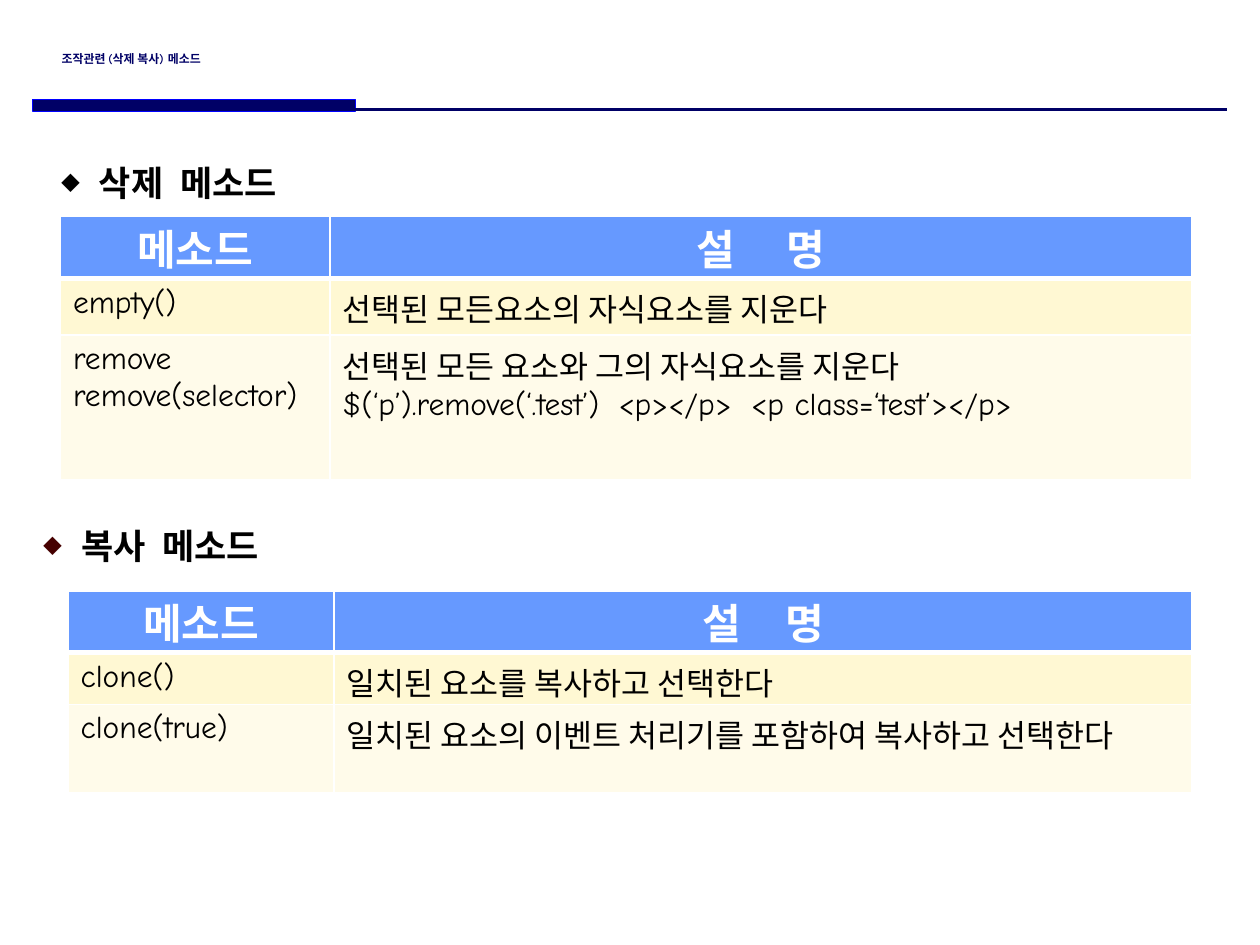
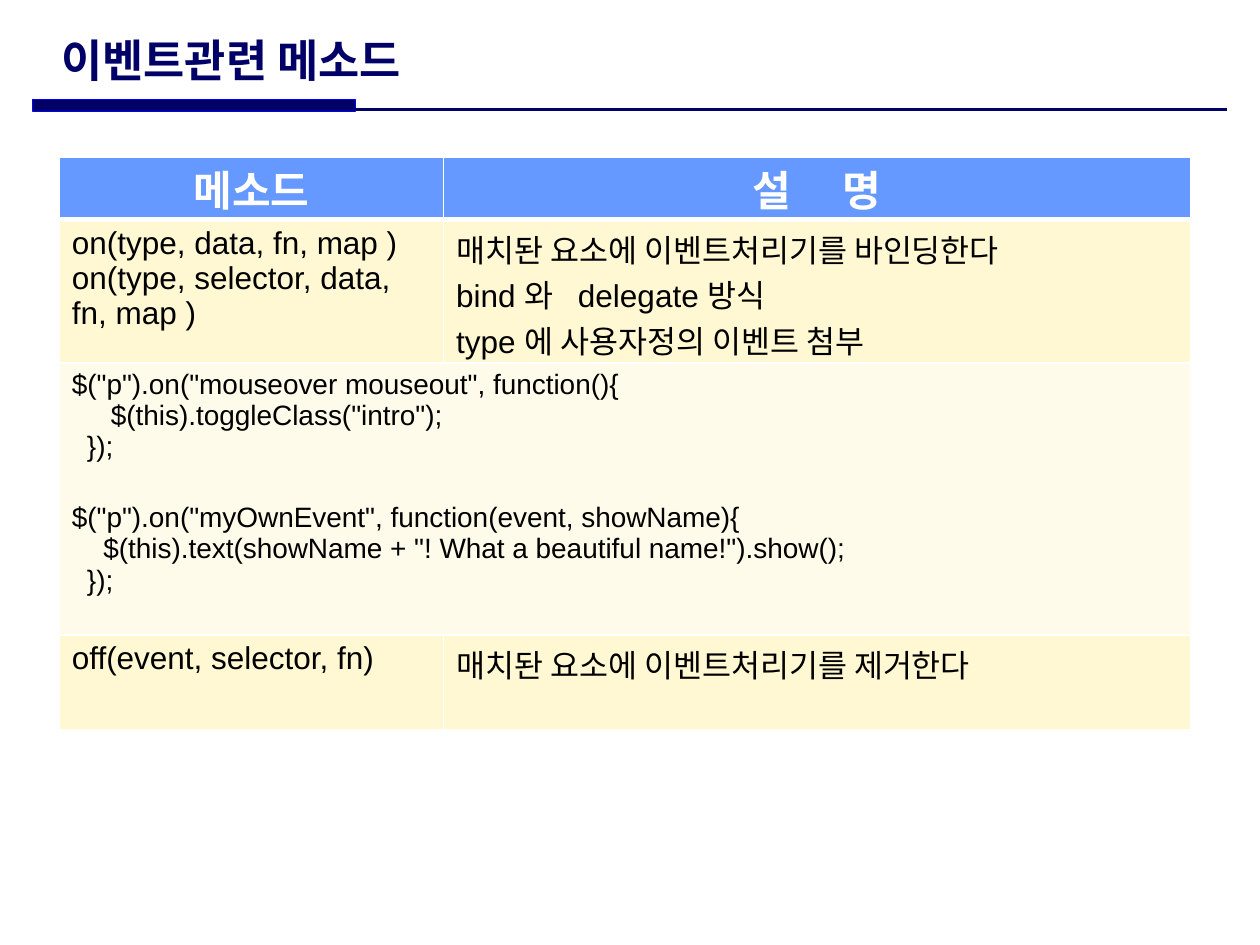
from dataclasses import dataclass

from lxml.etree import SubElement
from pptx import Presentation
from pptx.dml.color import RGBColor
from pptx.enum.shapes import MSO_CONNECTOR as Connector, MSO_SHAPE as Preset
from pptx.enum.text import MSO_ANCHOR as Anchor, PP_ALIGN as Align
from pptx.oxml.ns import qn
from pptx.slide import Slide
from pptx.table import _Cell as Cell
from pptx.text.text import TextFrame, _Paragraph as Paragraph
from pptx.util import Inches, Pt

COLORS = {
    "navy": "000066",
    "outline": "0000FF",
    "header": "6699FF",
    "band": "FFF8D3",
    "light": "FFFBEA",
    "white": "FFFFFF",
    "black": "000000",
    "maroon": "460000",
}
KOREAN = "Noto Sans CJK KR"
COMIC = "Comic Neue"
ARIAL = "Arial"


@dataclass(frozen=True)
class Style:
    font: str
    size: float
    color: str = "black"
    bold: bool = False


@dataclass(frozen=True)
class Line:
    words: tuple[str, ...]
    gap: float = 0
    indent: float = 0
    before: float = 0


@dataclass(frozen=True)
class Row:
    height: float
    cells: tuple[tuple[Line, ...], ...]
    size: float = 18


@dataclass(frozen=True)
class MethodTable:
    left: float
    top: float
    columns: tuple[float, float]
    font: str
    header_gap: float
    rows: tuple[Row, ...]


def lines(*texts: str) -> tuple[Line, ...]:
    return tuple(Line((text,)) for text in texts)


def rgb(name: str) -> RGBColor:
    return RGBColor.from_string(COLORS[name])


def add_run(paragraph: Paragraph, text: str, style: Style, spacing: float = 0) -> None:
    run = paragraph.add_run()
    run.text = text
    run.font.name = style.font
    run.font.size = Pt(style.size)
    run.font.bold = style.bold
    run.font.color.rgb = rgb(style.color)
    properties = run.font._element
    SubElement(properties, qn("a:ea")).set("typeface", KOREAN)
    if spacing:
        properties.set("spc", str(round(spacing * 100)))


def write_line(paragraph: Paragraph, line: Line, style: Style) -> None:
    for index, words in enumerate(line.words):
        if index:
            add_run(paragraph, " ", style, line.gap)
        add_run(paragraph, words, style)


def set_indent(paragraph: Paragraph, margin: float, first: float = 0) -> None:
    properties = paragraph._p.get_or_add_pPr()
    properties.set("marL", str(Inches(margin)))
    properties.set("indent", str(Inches(first)))


def add_text_box(slide: Slide, left: float, top: float, width: float, height: float) -> TextFrame:
    frame = slide.shapes.add_textbox(
        Inches(left), Inches(top), Inches(width), Inches(height)
    ).text_frame
    frame.word_wrap = True
    return frame


def add_heading(slide: Slide, left: float, top: float, words: tuple[str, ...], bullet: str) -> None:
    paragraph = add_text_box(slide, left, top, 3.36, 0.43).paragraphs[0]
    set_indent(paragraph, 0.24, -0.24)
    properties = paragraph._p.get_or_add_pPr()
    color = SubElement(properties, qn("a:buClr"))
    SubElement(color, qn("a:srgbClr")).set("val", COLORS[bullet])
    SubElement(properties, qn("a:buSzPct")).set("val", "60000")
    SubElement(properties, qn("a:buFont")).set("typeface", KOREAN)
    SubElement(properties, qn("a:buChar")).set("char", "◆")
    add_run(paragraph, " ", Style(ARIAL, 18))
    write_line(paragraph, Line(words, 5), Style(KOREAN, 20, bold=True))


def set_borders(cell: Cell, bottom: float) -> None:
    properties = cell._tc.get_or_add_tcPr()
    for side, width in (("L", 1), ("R", 1), ("T", 1), ("B", bottom)):
        border = SubElement(properties, qn(f"a:ln{side}"), w=str(Pt(width)))
        fill = SubElement(border, qn("a:solidFill"))
        SubElement(fill, qn("a:srgbClr")).set("val", COLORS["white"])


def fill_cell(
    cell: Cell, content: tuple[Line, ...], style: Style, fill: str, is_header: bool
) -> None:
    set_borders(cell, 3 if is_header else 1)
    cell.fill.solid()
    cell.fill.fore_color.rgb = rgb(fill)
    cell.margin_top = Inches(0 if is_header else 0.05)
    cell.margin_bottom = Inches(0)
    frame = cell.text_frame
    for index, line in enumerate(content):
        paragraph = frame.add_paragraph() if index else frame.paragraphs[0]
        paragraph.alignment = Align.CENTER if is_header else Align.LEFT
        if line.before:
            paragraph.space_before = Pt(line.before)
        if line.indent:
            set_indent(paragraph, line.indent)
        write_line(paragraph, line, style)


def add_method_table(slide: Slide, methods: MethodTable) -> None:
    header = Row(0.49, (lines("메소드"), (Line(("설", "명"), methods.header_gap),)), 24)
    rows = (header, *methods.rows)
    table = slide.shapes.add_table(
        len(rows),
        len(methods.columns),
        Inches(methods.left),
        Inches(methods.top),
        Inches(sum(methods.columns)),
        Inches(sum(row.height for row in rows)),
    ).table
    table.horz_banding = False
    for column, width in zip(table.columns, methods.columns):
        column.width = Inches(width)
    for index, row in enumerate(rows):
        table.rows[index].height = Inches(row.height)
        is_header = index == 0
        style = Style(methods.font, row.size, "white" if is_header else "black", is_header)
        fill = "header" if is_header else ("light", "band")[index % 2]
        if len(row.cells) == 1:
            table.cell(index, 0).merge(table.cell(index, 1))
        for column, content in enumerate(row.cells):
            fill_cell(table.cell(index, column), content, style, fill, is_header)


def add_method_slide(presentation: Presentation, title: str, size: float) -> Slide:
    slide = presentation.slides.add_slide(presentation.slide_layouts[6])
    bar = slide.shapes.add_shape(
        Preset.RECTANGLE, Inches(0.26), Inches(0.79), Inches(2.56), Inches(0.09)
    )
    bar.shadow.inherit = False
    bar.fill.solid()
    bar.fill.fore_color.rgb = rgb("navy")
    bar.line.color.rgb = rgb("outline")
    bar.line.width = Pt(0.75)
    rule = slide.shapes.add_connector(
        Connector.STRAIGHT, Inches(0.26), Inches(0.87), Inches(9.74), Inches(0.87)
    )
    rule.line.color.rgb = rgb("navy")
    rule.line.width = Pt(1.5)
    SubElement(rule._element.spPr, qn("a:effectLst"))
    frame = add_text_box(slide, 0.39, 0.21, 6.79, 0.52)
    frame.vertical_anchor = Anchor.MIDDLE
    add_run(frame.paragraphs[0], title, Style(COMIC, size, "navy", True))
    return slide


REMOVE_TABLE = MethodTable(0.48, 1.72, (2.14, 6.84), COMIC, 24, (
    Row(0.45, (lines("empty()"), lines("선택된 모든요소의 자식요소를 지운다"))),
    Row(1.15, (
        lines("remove", "remove(selector)"),
        (
            Line(("선택된 모든 요소와 그의 자식요소를 지운다",)),
            Line(("$(‘p’).remove(‘.test’)", "<p></p>", "<p class=‘test’></p>"), 5),
        ),
    )),
))
CLONE_TABLE = MethodTable(0.54, 4.69, (2.11, 6.81), COMIC, 20, (
    Row(0.41, (lines("clone()"), lines("일치된 요소를 복사하고 선택한다"))),
    Row(0.7, (
        lines("clone(true)"),
        lines("일치된 요소의 이벤트 처리기를 포함하여 복사하고 선택한다"),
    )),
))
EVENT_TABLE = MethodTable(0.47, 1.25, (3.05, 5.93), ARIAL, 24, (
    Row(1.14, (
        lines("on(type, data, fn, map )", "on(type, selector, data, fn, map )"),
        (
            Line(("매치돤 요소에 이벤트처리기를 바인딩한다",)),
            Line(("bind 와", "delegate 방식"), 10),
            Line(("type 에 사용자정의 이벤트 첨부",)),
        ),
    )),
    Row(2.16, ((
        Line(('$("p").on("mouseover mouseout", function(){',)),
        Line(('$(this).toggleClass("intro");',), indent=0.31),
        Line(("});",), indent=0.12),
        Line(('$("p").on("myOwnEvent", function(event, showName){',), before=23),
        Line(('$(this).text(showName + "! What a beautiful name!").show();',), indent=0.25),
        Line(("});",), indent=0.12),
    ),), 16),
    Row(0.75, (
        lines("off(event, selector, fn)"),
        lines("매치돤 요소에 이벤트처리기를 제거한다"),
    )),
))


def main() -> None:
    presentation = Presentation()
    presentation.slide_width = Inches(10)
    presentation.slide_height = Inches(7.5)

    editing = add_method_slide(presentation, "조작관련 (삭제 복사) 메소드", 6.8)
    add_heading(editing, 0.39, 1.23, ("삭제", "메소드"), "black")
    add_method_table(editing, REMOVE_TABLE)
    add_heading(editing, 0.25, 4.11, ("복사", "메소드"), "maroon")
    add_method_table(editing, CLONE_TABLE)

    events = add_method_slide(presentation, "이벤트관련 메소드", 25.6)
    add_method_table(events, EVENT_TABLE)

    presentation.save("out.pptx")


if __name__ == "__main__":
    main()
